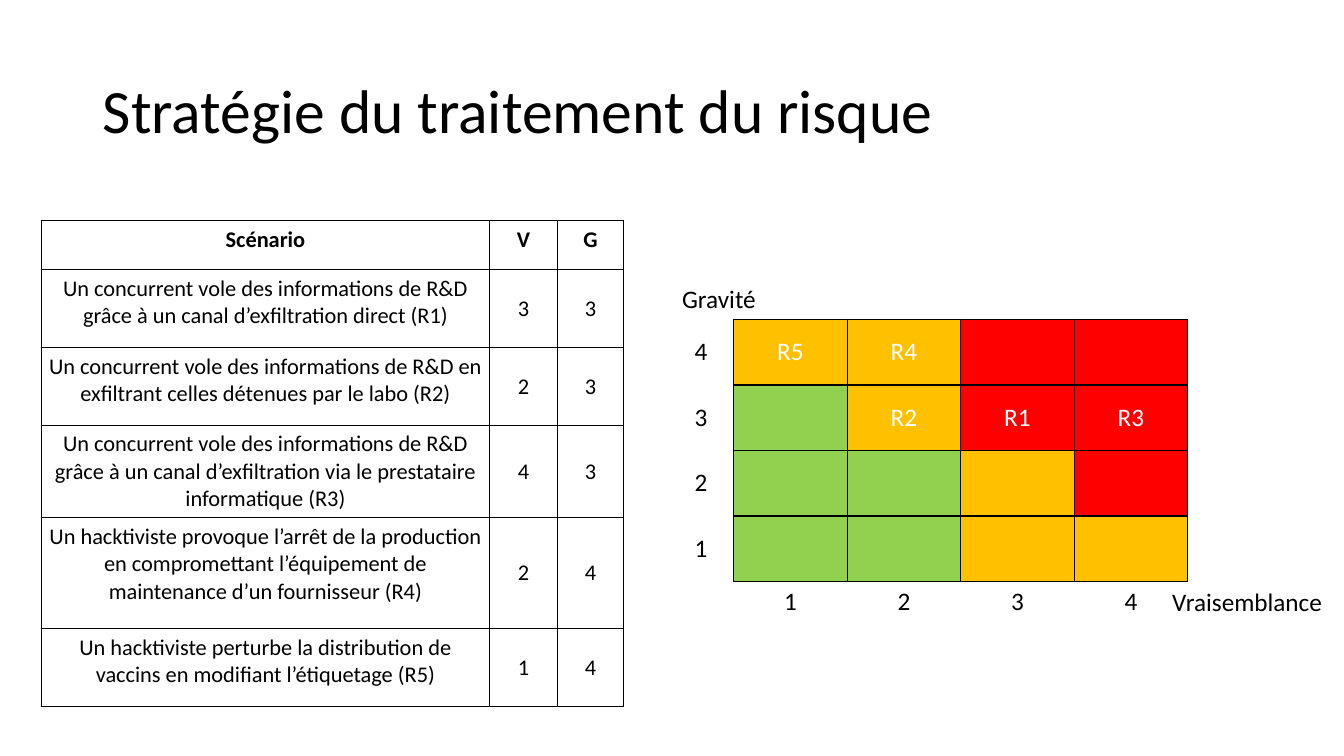
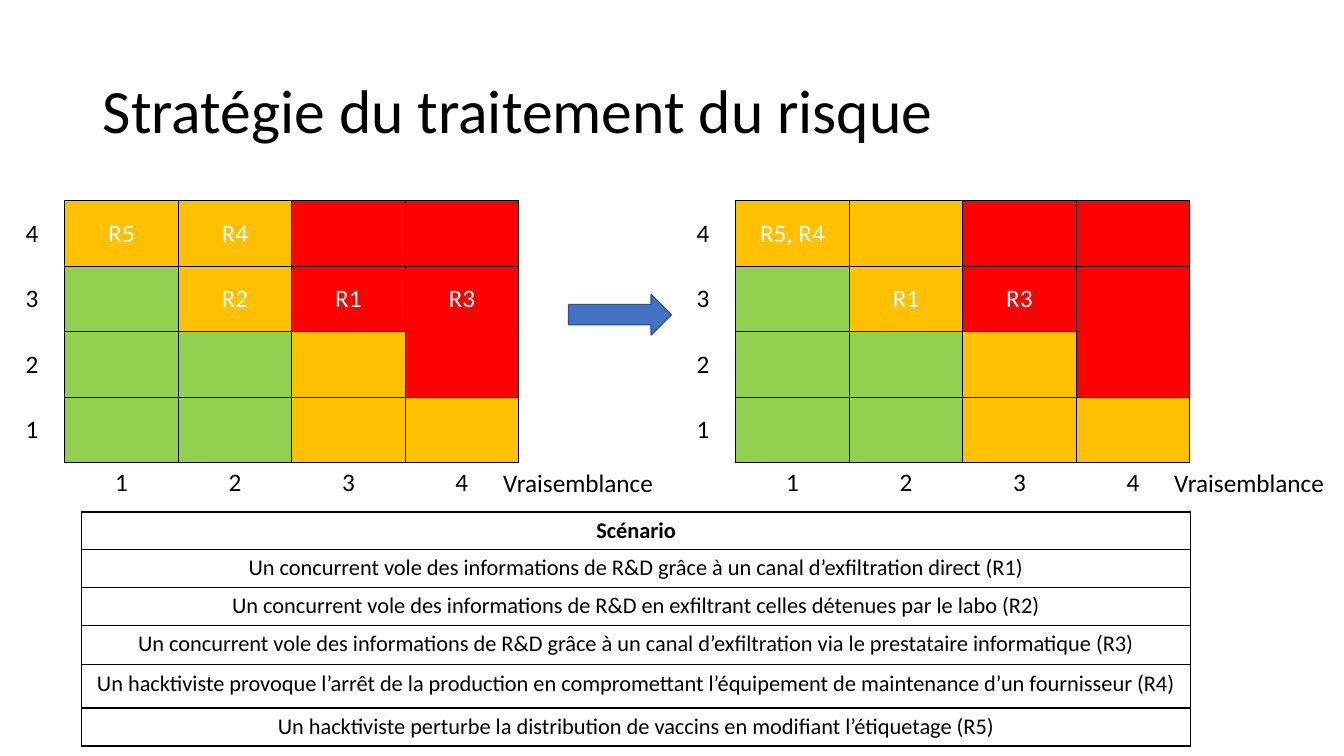
"""Builds the two risk treatment slides."""
from lxml import etree
from pptx import Presentation
from pptx import util as u
from pptx.dml.color import RGBColor
from pptx.enum import shapes, text
from pptx.oxml.ns import qn

COLORS = {
    "black": "000000", "white": "FFFFFF", "blue": "4472C4", "navy": "325491",
    "G": "92D050", "O": "FFC000", "R": "FF0000",
}
PLAIN = "{2D5ABB26-0587-4C30-8999-92F81FD0307C}"
TITLE = "Stratégie du traitement du risque"
ZONES = ["OORR", "GORR", "GGOR", "GGOO"]
RISKS = [
    ("Un concurrent vole des informations de R&D grâce à un canal d’exfiltration direct (R1)", "3", "3"),
    ("Un concurrent vole des informations de R&D en exfiltrant celles détenues par le labo (R2)", "2", "3"),
    ("Un concurrent vole des informations de R&D grâce à un canal d’exfiltration via le prestataire informatique (R3)",
     "4", "3"),
    ("Un hacktiviste provoque l’arrêt de la production en compromettant l’équipement de maintenance "
     "d’un fournisseur (R4)", "2", "4"),
    ("Un hacktiviste perturbe la distribution de vaccins en modifiant l’étiquetage (R5)", "1", "4"),
]
HEAD = ("Scénario", "V", "G")
BEFORE = {(0, 0): "R5", (0, 1): "R4", (1, 1): "R2", (1, 2): "R1", (1, 3): "R3"}
AFTER = {(0, 0): "R5, R4", (1, 1): "R1", (1, 2): "R3"}


def paint(name):
    return RGBColor.from_string(COLORS[name])


class Deck:
    """Holds the style and the current slide."""

    font = "Calibri"
    wide, high = 2.86, 1.65

    def __init__(self):
        self.show = Presentation()
        self.show.slide_width = u.Cm(33.87)
        self.show.slide_height = u.Cm(19.05)

    def page(self, title):
        self.slide = self.show.slides.add_slide(self.show.slide_layouts[6])
        frame = self.label(title, 2.34, 1.02, 29.21, 3.68, 44)
        frame.vertical_anchor = text.MSO_ANCHOR.MIDDLE
        frame.paragraphs[0].line_spacing = 0.9

    def put(self, para, words, size, color="black", bold=False):
        run = para.add_run()
        run.text = words
        run.font.name = self.font
        run.font.size = u.Pt(size)
        run.font.bold = bold
        run.font.color.rgb = paint(color)

    def label(self, words, x, y, w, h=1.02, size=18):
        box = self.slide.shapes.add_textbox(u.Cm(x), u.Cm(y), u.Cm(w), u.Cm(h))
        box.text_frame.word_wrap = True
        self.put(box.text_frame.paragraphs[0], words, size)
        return box.text_frame

    def border(self, cell):
        props = cell._tc.get_or_add_tcPr()
        for side in ("a:lnL", "a:lnR", "a:lnT", "a:lnB"):
            line = etree.SubElement(props, qn(side), w=str(u.Pt(1)))
            fill = etree.SubElement(line, qn("a:solidFill"))
            etree.SubElement(fill, qn("a:srgbClr"), val=COLORS["black"])

    def table(self, x, y, cols, rows, cells, size=18, color="black", zones=None, grid=True, head=False):
        shape = self.slide.shapes.add_table(
            len(rows), len(cols), u.Cm(x), u.Cm(y), u.Cm(sum(cols)), u.Cm(sum(rows)))
        table = shape.table
        table.first_row = table.horz_banding = False
        table._tbl.tblPr.find(qn("a:tableStyleId")).text = PLAIN
        for col, width in zip(table.columns, cols):
            col.width = u.Cm(width)
        for row, height in zip(table.rows, rows):
            row.height = u.Cm(height)
        for r in range(len(rows)):
            for c in range(len(cols)):
                cell = table.cell(r, c)
                cell.margin_left = cell.margin_right = u.Cm(0.18)
                top = head and (r == 0 or c == 0)
                cell.vertical_anchor = text.MSO_ANCHOR.TOP if top else text.MSO_ANCHOR.MIDDLE
                if grid:
                    self.border(cell)
                if zones:
                    cell.fill.solid()
                    cell.fill.fore_color.rgb = paint(zones[r][c])
                else:
                    cell.fill.background()
                if cells[r][c]:
                    para = cell.text_frame.paragraphs[0]
                    para.alignment = text.PP_ALIGN.CENTER
                    self.put(para, cells[r][c], size, color, head and r == 0)

    def matrix(self, x, y, marks):
        cols, rows = [self.wide] * 4, [self.high] * 4
        cells = [[marks.get((r, c)) for c in range(4)] for r in range(4)]
        self.table(x, y, cols, rows, cells, color="white", zones=ZONES)
        self.table(x - 1.27, y, [0.89], rows, ["4", "3", "2", "1"], grid=False)
        base = y + sum(rows)
        self.table(x, base, cols, [1.02], ["1234"], grid=False)
        self.label("Vraisemblance", x + 10.8, base, 4.67)

    def risks(self, x, y, cols, rows):
        self.table(x, y, cols, rows, [HEAD, *RISKS], size=16, head=True)

    def arrow(self, x, y, w, h):
        shape = self.slide.shapes.add_shape(
            shapes.MSO_SHAPE.RIGHT_ARROW, u.Cm(x), u.Cm(y), u.Cm(w), u.Cm(h))
        shape.shadow.inherit = False
        shape.fill.solid()
        shape.fill.fore_color.rgb = paint("blue")
        shape.line.color.rgb = paint("navy")
        shape.line.width = u.Pt(1)


def main():
    deck = Deck()
    deck.page(TITLE)
    deck.risks(1.04, 5.56, [11.3, 1.7, 1.68], [1.24, 1.96, 1.96, 2.33, 2.79, 1.96])
    deck.matrix(18.49, 8.05, BEFORE)
    deck.label("Gravité", 16.94, 7.01, 3.1)

    deck.page(TITLE)
    deck.matrix(1.63, 5.06, BEFORE)
    deck.matrix(18.54, 5.06, AFTER)
    deck.arrow(14.33, 7.42, 2.59, 1.02)
    deck.risks(2.06, 12.9, [27.94], [0.94, 0.96, 0.96, 0.99, 1.09, 0.96])
    deck.show.save("out.pptx")


if __name__ == "__main__":
    main()
